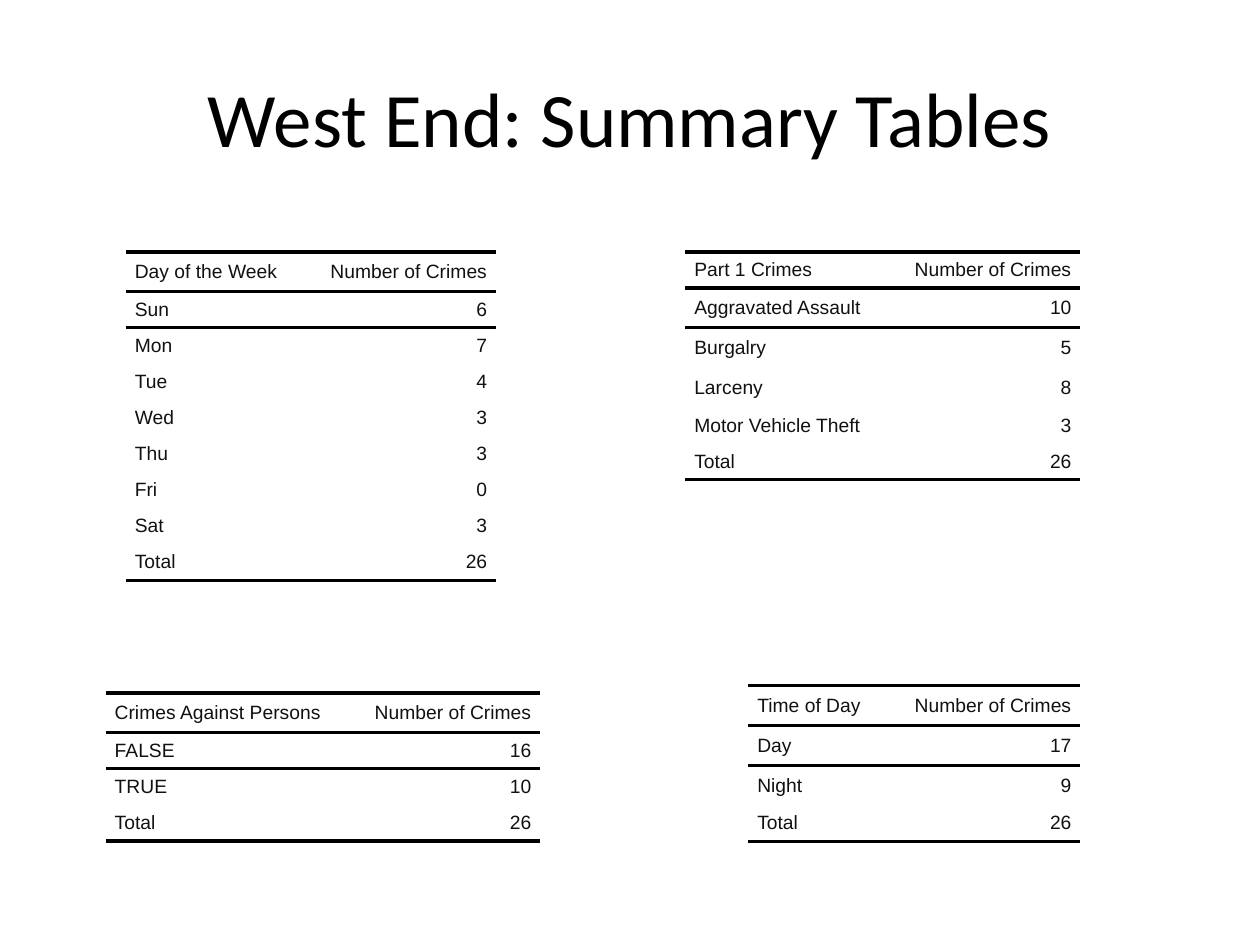
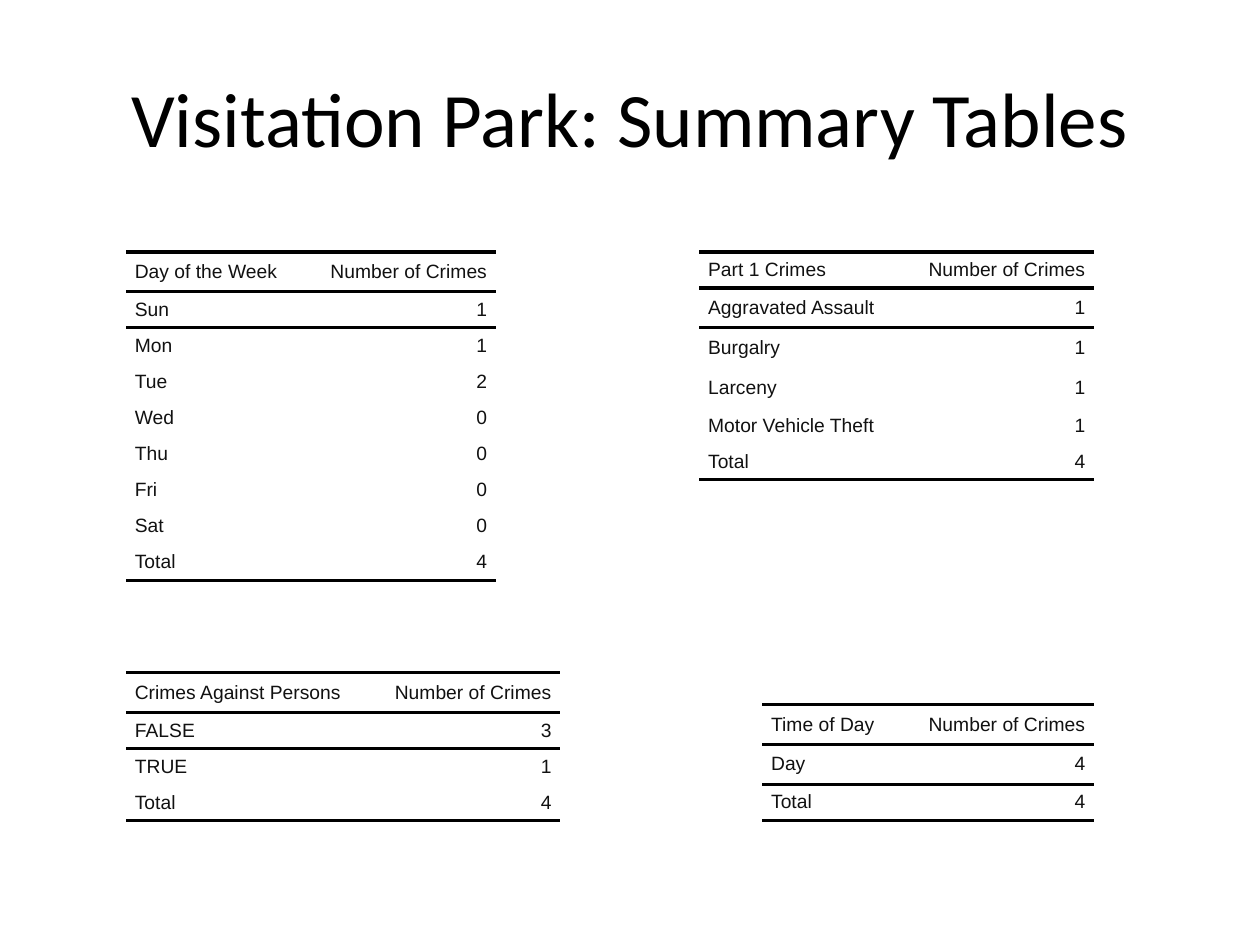
"""Build two slides of neighbourhood crime summary tables."""
from dataclasses import dataclass

from lxml.etree import SubElement
from pptx import Presentation
from pptx.dml.color import RGBColor
from pptx.enum.text import MSO_ANCHOR, PP_ALIGN
from pptx.oxml.ns import qn
from pptx.slide import Slide
from pptx.table import _Cell
from pptx.text.text import _Paragraph
from pptx.util import Inches, Pt

COLORS = {"title": "000000", "rule": "000000", "text": "111111"}
SLIDE_WIDTH, SLIDE_HEIGHT = Inches(10), Inches(7.5)
COLUMN, ROW = SLIDE_WIDTH / 100, SLIDE_HEIGHT / 75
TALL, SHORT = 3.17, 2.86
COUNT_COLUMNS = 15.24
INDENT = 0.7
COUNT_HEADING = "Number of Crimes"
PLAIN_STYLE = "{2D5ABB26-0587-4C30-8999-92F81FD0307C}"


@dataclass(frozen=True)
class Category:
    """A way of splitting crimes, with its label width and tall rows."""
    heading: str
    labels: tuple[str, ...]
    label_columns: float
    tall_rows: tuple[int, ...]


@dataclass(frozen=True)
class Summary:
    """Counts for one category, placed on the grid."""
    category: Category
    left: float
    top: float
    counts: tuple[int, ...]


@dataclass(frozen=True)
class Neighbourhood:
    """One slide: a place and its summaries."""
    name: str
    summaries: tuple[Summary, ...]


PART_ONE = Category(
    "Part 1 Crimes",
    ("Aggravated Assault", "Burgalry", "Larceny", "Motor Vehicle Theft"),
    16.1, (1, 2, 3))
WEEKDAY = Category(
    "Day of the Week",
    ("Sun", "Mon", "Tue", "Wed", "Thu", "Fri", "Sat"), 14.13, (0,))
PERSONS = Category("Crimes Against Persons", ("FALSE", "TRUE"), 19.24, (0,))
DAY_NIGHT = Category("Time of Day", ("Day", "Night"), 11.1, (0, 1, 2))
DAY_ONLY = Category("Time of Day", ("Day",), 11.1, (0, 1))

NEIGHBOURHOODS = (
    Neighbourhood("West End", (
        Summary(PART_ONE, 54.4, 20, (10, 5, 8, 3)),
        Summary(WEEKDAY, 10, 20, (6, 7, 4, 3, 3, 0, 3)),
        Summary(PERSONS, 8.4, 55, (16, 10)),
        Summary(DAY_NIGHT, 59.4, 54.4, (17, 9)),
    )),
    Neighbourhood("Visitation Park", (
        Summary(PART_ONE, 55.5, 20, (1, 1, 1, 1)),
        Summary(WEEKDAY, 10, 20, (1, 1, 2, 0, 0, 0, 0)),
        Summary(PERSONS, 10, 53.4, (3, 1)),
        Summary(DAY_ONLY, 60.5, 55.9, (4,)),
    )),
)


def across(columns: float) -> int:
    """Convert grid columns to a length."""
    return round(columns * COLUMN)


def down(rows: float) -> int:
    """Convert grid rows to a length."""
    return round(rows * ROW)


def add_run(paragraph: _Paragraph, text: str, font: str, size: float, color: str) -> None:
    """Add one formatted run to a paragraph."""
    run = paragraph.add_run()
    run.text = text
    run.font.name = font
    run.font.size = Pt(size)
    run.font.color.rgb = RGBColor.from_string(COLORS[color])


def add_title(slide: Slide, text: str) -> None:
    """Add the centred slide title."""
    box = slide.shapes.add_textbox(across(5), down(3), across(90), down(12.5))
    frame = box.text_frame
    frame.word_wrap = True
    frame.vertical_anchor = MSO_ANCHOR.MIDDLE
    paragraph = frame.paragraphs[0]
    paragraph.alignment = PP_ALIGN.CENTER
    add_run(paragraph, text, "Calibri", 44, "title")


def rule_cell(cell: _Cell, sides: list[str]) -> None:
    """Draw rules on the given sides of a cell and leave it unfilled."""
    properties = cell._tc.get_or_add_tcPr()
    for side in sides:
        line = SubElement(properties, qn(f"a:ln{side}"), w=str(Pt(2)))
        fill = SubElement(line, qn("a:solidFill"))
        SubElement(fill, qn("a:srgbClr"), val=COLORS["rule"])
    cell.fill.background()


def fill_cell(cell: _Cell, text: str, alignment: PP_ALIGN) -> None:
    """Write a cell's text with the shared table formatting."""
    cell.margin_left = cell.margin_right = cell.margin_top = cell.margin_bottom = 0
    cell.vertical_anchor = MSO_ANCHOR.MIDDLE
    paragraph = cell.text_frame.paragraphs[0]
    paragraph.alignment = alignment
    paragraph.space_before = paragraph.space_after = Pt(2)
    properties = paragraph._p.get_or_add_pPr()
    for margin in ("marL", "marR"):
        properties.set(margin, str(across(INDENT)))
    properties.set("indent", "0")
    add_run(paragraph, text, "Arial", 11, "text")


def add_summary(slide: Slide, summary: Summary) -> None:
    """Add a summary table with a heading row and a total row."""
    category = summary.category
    records = [(category.heading, COUNT_HEADING),
               *zip(category.labels, map(str, summary.counts)),
               ("Total", str(sum(summary.counts)))]
    heights = [TALL if index in category.tall_rows else SHORT
               for index in range(len(records))]
    widths = (category.label_columns, COUNT_COLUMNS)
    frame = slide.shapes.add_table(
        len(records), len(widths), across(summary.left), down(summary.top),
        across(sum(widths)), down(sum(heights)))
    table = frame.table
    table.first_row = table.horz_banding = False
    table._tbl.tblPr.find(qn("a:tableStyleId")).text = PLAIN_STYLE
    for column, width in zip(table.columns, widths):
        column.width = across(width)
    for index, (record, height) in enumerate(zip(records, heights)):
        table.rows[index].height = down(height)
        sides = ["T"] if index < 2 else []
        if index in (0, len(records) - 1):
            sides.append("B")
        for position, alignment in enumerate((PP_ALIGN.LEFT, PP_ALIGN.RIGHT)):
            cell = table.cell(index, position)
            fill_cell(cell, record[position], alignment)
            rule_cell(cell, sides)


def main() -> None:
    """Build and save the presentation."""
    presentation = Presentation()
    presentation.slide_width = SLIDE_WIDTH
    presentation.slide_height = SLIDE_HEIGHT
    for neighbourhood in NEIGHBOURHOODS:
        slide = presentation.slides.add_slide(presentation.slide_layouts[6])
        add_title(slide, f"{neighbourhood.name}: Summary Tables")
        for summary in neighbourhood.summaries:
            add_summary(slide, summary)
    presentation.save("out.pptx")


if __name__ == "__main__":
    main()
